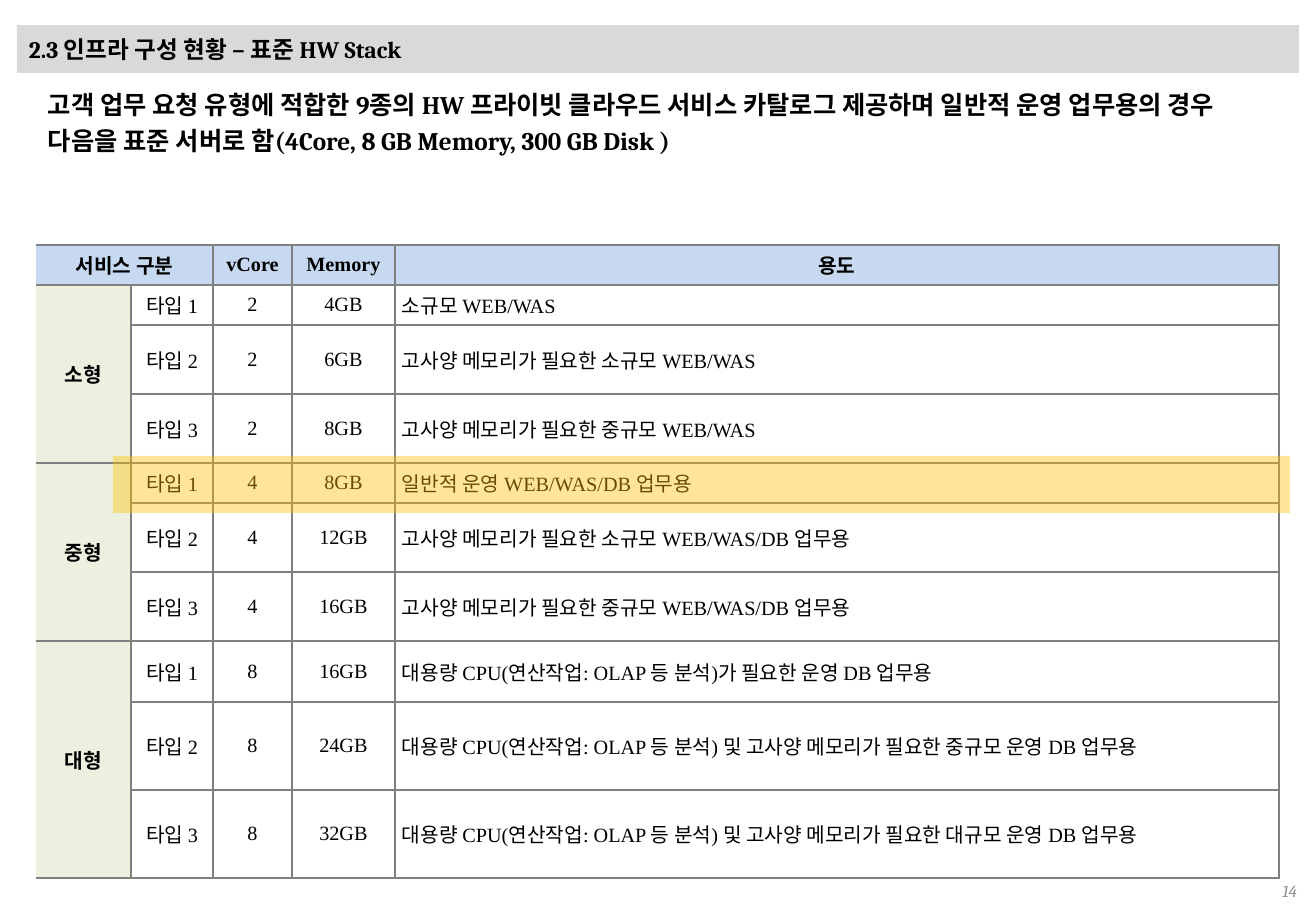
from lxml import etree
from pptx import Presentation
from pptx.dml.color import RGBColor
from pptx.enum.shapes import MSO_SHAPE
from pptx.enum.text import MSO_ANCHOR, PP_ALIGN
from pptx.oxml.ns import qn
from pptx.util import Emu, Pt

RECT = MSO_SHAPE.RECTANGLE
TOP, MIDDLE = MSO_ANCHOR.TOP, MSO_ANCHOR.MIDDLE
LEFT, CENTER, RIGHT = PP_ALIGN.LEFT, PP_ALIGN.CENTER, PP_ALIGN.RIGHT

BLACK = RGBColor(0x00, 0x00, 0x00)
WHITE = RGBColor(0xFF, 0xFF, 0xFF)
TITLE_GRAY = RGBColor(0xD9, 0xD9, 0xD9)
NUMBER_GRAY = RGBColor(0x8C, 0x8C, 0x8C)
BORDER_GRAY = RGBColor(0x80, 0x80, 0x80)
HEADER_BLUE = RGBColor(0xC6, 0xD9, 0xF1)
SIZE_GREEN = RGBColor(0xEB, 0xF1, 0xDE)
HIGHLIGHT = RGBColor(0xFF, 0xC0, 0x00)

HEADING_FONT, TABLE_FONT = "Cambria", "Times New Roman"
SLIDE_W, SLIDE_H = 1316, 911
COLUMNS = [95, 82, 79, 103, 884]
ROWS = [40, 40, 69, 69, 40, 69, 69, 61, 88, 88]
HEADERS = ["서비스 구분", None, "vCore", "Memory", "용도"]
LARGE_USE = "대용량 CPU(연산작업: OLAP 등 분석)"
# size class, vCore, then memory and use of each type
CATALOG = [
    ("소형", 2, [("4GB", "소규모 WEB/WAS"),
               ("6GB", "고사양 메모리가 필요한 소규모 WEB/WAS"),
               ("8GB", "고사양 메모리가 필요한 중규모 WEB/WAS")]),
    ("중형", 4, [("8GB", "일반적 운영 WEB/WAS/DB 업무용"),
               ("12GB", "고사양 메모리가 필요한 소규모 WEB/WAS/DB 업무용"),
               ("16GB", "고사양 메모리가 필요한 중규모 WEB/WAS/DB 업무용")]),
    ("대형", 8, [("16GB", LARGE_USE + "가 필요한 운영 DB 업무용"),
               ("24GB", LARGE_USE + " 및 고사양 메모리가 필요한 중규모 운영 DB 업무용"),
               ("32GB", LARGE_USE + " 및 고사양 메모리가 필요한 대규모 운영 DB 업무용")]),
]


def px(n):
    """Turn slide pixels into EMU."""
    return Emu(round(n * 914400 / 121.5))


class Deck:
    """Holds the text style and the current slide."""

    def __init__(self, slide, color=BLACK):
        """Keep the slide and the default text colour."""
        self.slide, self.color = slide, color

    def run(self, tf, text, size, font=HEADING_FONT, align=LEFT, bold=False,
            italic=False, color=None, spacing=None):
        """Add one styled run to the first paragraph."""
        p = tf.paragraphs[0]
        p.alignment = align
        if spacing:
            p.line_spacing = spacing
        r = p.add_run()
        r.text = text
        r.font.size, r.font.name = Pt(size), font
        r.font.bold, r.font.italic = bold, italic
        r.font.color.rgb = color or self.color

    def frame(self, tf, anchor, dx, dy):
        """Set wrapping, anchor and insets of a text frame."""
        tf.word_wrap = True
        tf.vertical_anchor = anchor
        tf.margin_left = tf.margin_right = px(dx)
        tf.margin_top = tf.margin_bottom = px(dy)
        return tf

    def text(self, x, y, w, h, text, size, anchor=TOP, inset=(10, 10), **style):
        """Add a text box."""
        sp = self.slide.shapes.add_textbox(px(x), px(y), px(w), px(h))
        self.run(self.frame(sp.text_frame, anchor, *inset), text, size, **style)

    def rect(self, x, y, w, h, fill, opacity=None):
        """Add a borderless rectangle, with opacity in percent."""
        sp = self.slide.shapes.add_shape(RECT, px(x), px(y), px(w), px(h))
        sp.shadow.inherit = False
        sp.line.fill.background()
        sp.fill.solid()
        sp.fill.fore_color.rgb = fill
        if opacity:
            clr = sp._element.spPr.find(qn("a:solidFill")).find(qn("a:srgbClr"))
            etree.SubElement(clr, qn("a:alpha"), val=str(opacity * 1000))
        return sp

    def table(self, x, y, cols, rows):
        """Add an empty table with the given column widths and row heights."""
        tbl = self.slide.shapes.add_table(
            len(rows), len(cols), px(x), px(y), px(sum(cols)), px(sum(rows))).table
        tbl.first_row = tbl.horz_banding = False
        for col, w in zip(tbl.columns, cols):
            col.width = px(w)
        for row, h in zip(tbl.rows, rows):
            row.height = px(h)
            for i, cell in enumerate(row.cells):
                self.border(cell, open_left=i == 0)
        return tbl

    def border(self, cell, open_left):
        """Draw the cell borders, leaving the left side open if asked."""
        tc_pr = cell._tc.get_or_add_tcPr()
        for side in "LRTB":
            hidden = open_left and side == "L"
            ln = etree.SubElement(tc_pr, qn("a:ln" + side), w=str(int(Pt(1))))
            fill = etree.SubElement(ln, qn("a:noFill" if hidden else "a:solidFill"))
            if not hidden:
                etree.SubElement(fill, qn("a:srgbClr"), val=str(BORDER_GRAY))

    def cell(self, cell, text, fill=WHITE, align=CENTER, bold=False):
        """Fill a table cell and set its text."""
        cell.fill.solid()
        cell.fill.fore_color.rgb = fill
        cell.vertical_anchor = MIDDLE
        cell.margin_left = cell.margin_right = px(7)
        cell.margin_top = cell.margin_bottom = px(5)
        self.run(cell.text_frame, text, 12, TABLE_FONT, align, bold)


def fill_catalog(deck, tbl):
    """Fill in the header and the three size groups."""
    tbl.cell(0, 0).merge(tbl.cell(0, 1))
    for c, header in enumerate(HEADERS):
        if header:
            deck.cell(tbl.cell(0, c), header, HEADER_BLUE, bold=True)
    row = 1
    for size, cores, types in CATALOG:
        tbl.cell(row, 0).merge(tbl.cell(row + len(types) - 1, 0))
        deck.cell(tbl.cell(row, 0), size, SIZE_GREEN, bold=True)
        for n, (memory, use) in enumerate(types, 1):
            for c, value in enumerate([f"타입 {n}", str(cores), memory], 1):
                deck.cell(tbl.cell(row, c), value)
            deck.cell(tbl.cell(row, 4), use, align=LEFT)
            row += 1


def main():
    """Build the slide and save it."""
    prs = Presentation()
    prs.slide_width, prs.slide_height = px(SLIDE_W), px(SLIDE_H)
    deck = Deck(prs.slides.add_slide(prs.slide_layouts[6]))

    deck.text(1002, 876, 307, 29, "14", 10, MIDDLE, (12, 6),
              align=RIGHT, italic=True, color=NUMBER_GRAY)
    title = deck.rect(17, 25, 1282, 48, TITLE_GRAY)
    deck.run(deck.frame(title.text_frame, MIDDLE, 12, 6),
             "2.3 인프라 구성 현황 – 표준 HW Stack", 14, bold=True)
    fill_catalog(deck, deck.table(36, 245, COLUMNS, ROWS))
    deck.text(38, 73, 1243, 98,
              "고객 업무 요청 유형에 적합한 9종의 HW 프라이빗 클라우드 서비스 카탈로그 "
              "제공하며 일반적 운영 업무용의 경우 다음을 표준 서버로 함"
              "(4Core, 8 GB Memory, 300 GB Disk )", 15, bold=True, spacing=1.2)
    deck.rect(113, 456, 1177, 57, HIGHLIGHT, opacity=40)

    prs.save("out.pptx")


main()
